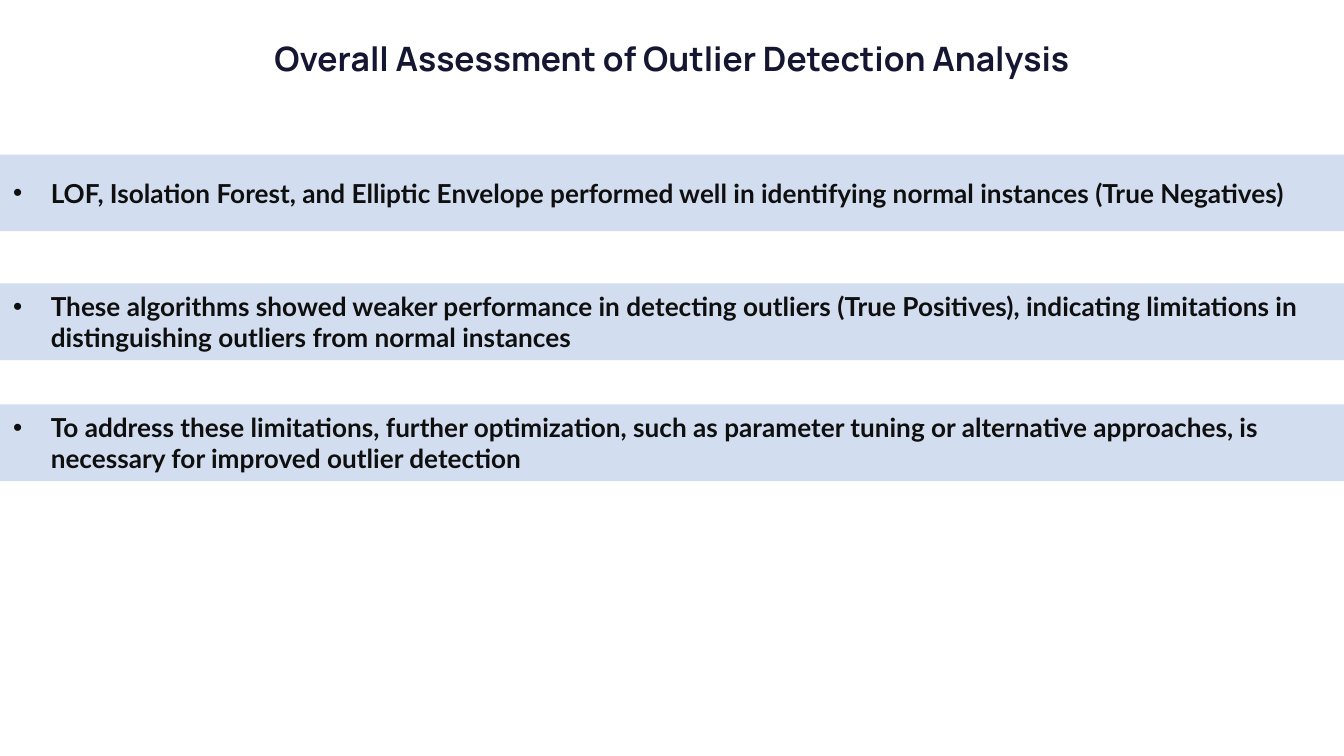
import pptx
import pptx.util
import pptx.dml.color
import pptx.enum.shapes
import pptx.enum.text
import pptx.oxml.ns
import lxml.etree
from pptx.util import Inches

NAVY = pptx.dml.color.RGBColor(0x15, 0x16, 0x31)
BLACK = pptx.dml.color.RGBColor(0x0F, 0x0F, 0x0F)
PALE_BLUE = pptx.dml.color.RGBColor(0xD2, 0xDE, 0xEF)

FINDINGS = [
    (1.15, "LOF, Isolation Forest, and Elliptic Envelope performed well in identifying "
           "normal instances (True Negatives)"),
    (2.11, "These algorithms showed weaker performance in detecting outliers (True Positives), "
           "indicating limitations in distinguishing outliers from normal instances"),
    (3.01, "To address these limitations, further optimization, such as parameter tuning or "
           "alternative approaches, is necessary for improved outlier detection"),
]


def format_text(paragraph, font_name, size, color):
    for run in paragraph.runs:
        run.font.name = font_name
        run.font.size = pptx.util.Pt(size)
        run.font.bold = True
        run.font.color.rgb = color


def add_bullet(paragraph):
    properties = paragraph._p.get_or_add_pPr()
    properties.set("marL", str(Inches(0.28)))
    properties.set("indent", str(Inches(-0.28)))
    for tag, attribute, value in (("buFont", "typeface", "Arial"), ("buChar", "char", "•")):
        element = lxml.etree.SubElement(properties, pptx.oxml.ns.qn(f"a:{tag}"))
        element.set(attribute, value)


presentation = pptx.Presentation()
presentation.slide_width = Inches(10)
presentation.slide_height = Inches(10 * 9 / 16)
slide = presentation.slides.add_slide(presentation.slide_layouts[5])

title = slide.shapes.title
title.left, title.top = Inches(-0.07), Inches(0.18)
title.width, title.height = Inches(10.14), Inches(0.57)
title_frame = title.text_frame
title_frame.text = "Overall Assessment of Outlier Detection Analysis"
title_frame.word_wrap = True
title_frame.auto_size = pptx.enum.text.MSO_AUTO_SIZE.NONE
title_frame.vertical_anchor = pptx.enum.text.MSO_ANCHOR.TOP
title_frame.margin_left = title_frame.margin_right = Inches(0.1)
title_frame.margin_top = title_frame.margin_bottom = Inches(0.1)
title_frame.paragraphs[0].alignment = pptx.enum.text.PP_ALIGN.CENTER
format_text(title_frame.paragraphs[0], "Manrope", 18, NAVY)

for top, finding in FINDINGS:
    band = slide.shapes.add_shape(
        pptx.enum.shapes.MSO_SHAPE.RECTANGLE, 0, Inches(top), Inches(10), Inches(0.57))
    band.shadow.inherit = False
    band.fill.solid()
    band.fill.fore_color.rgb = PALE_BLUE
    band.line.fill.background()
    band.text_frame.text = finding
    band.text_frame.word_wrap = True
    band.text_frame.vertical_anchor = pptx.enum.text.MSO_ANCHOR.MIDDLE
    paragraph = band.text_frame.paragraphs[0]
    paragraph.alignment = pptx.enum.text.PP_ALIGN.LEFT
    add_bullet(paragraph)
    format_text(paragraph, "Lato", 14, BLACK)

presentation.save("out.pptx")
